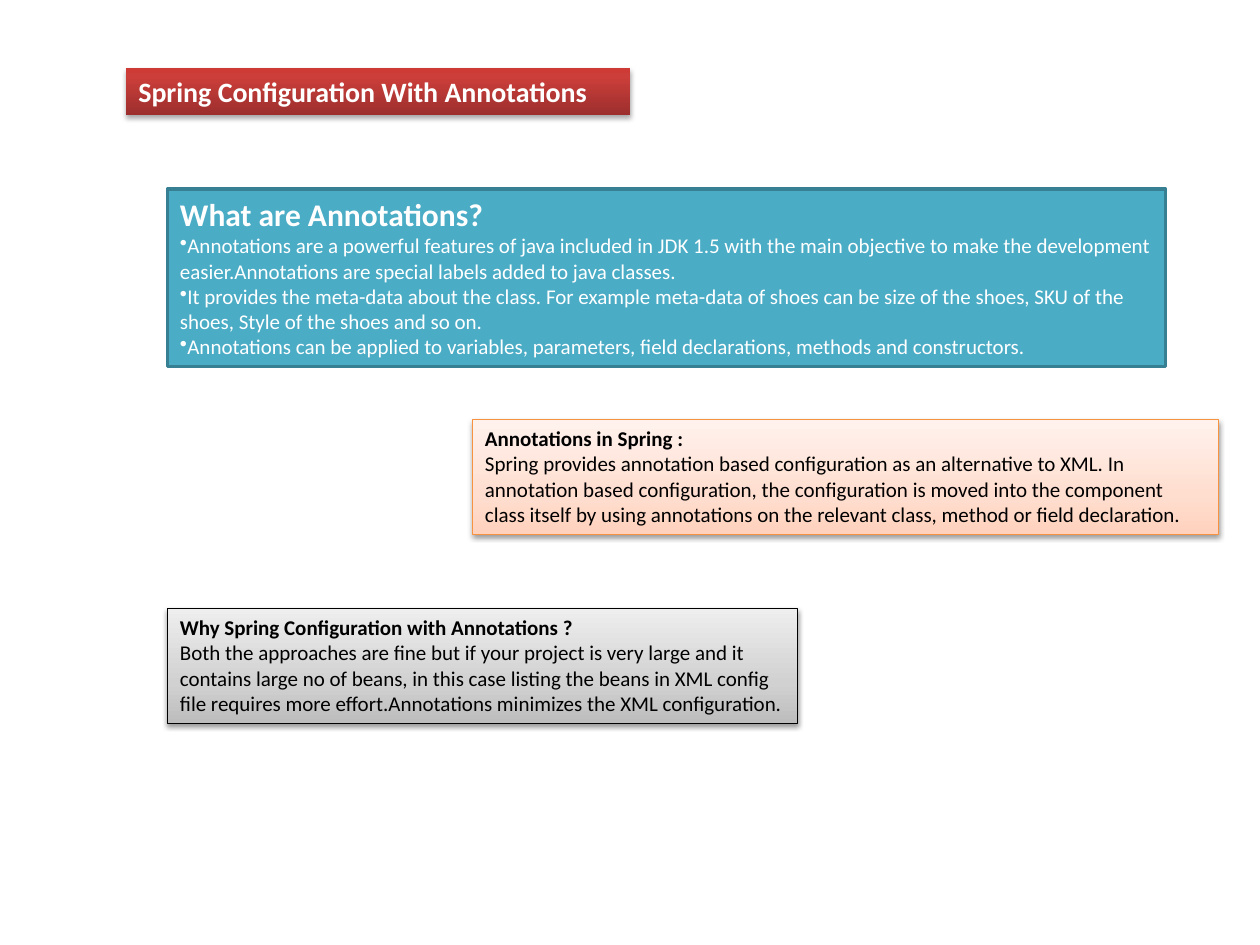
import copy

import pptx
import pptx.dml.color
import pptx.enum.shapes
import pptx.enum.text
import pptx.oxml
import pptx.oxml.ns
import pptx.util
from lxml import etree

Inches = pptx.util.Inches
Pt = pptx.util.Pt
RGBColor = pptx.dml.color.RGBColor
qn = pptx.oxml.ns.qn

WHITE = RGBColor(0xFF, 0xFF, 0xFF)
BLACK = RGBColor(0, 0, 0)
TEAL = RGBColor(0x4B, 0xAC, 0xC6)
DARK_TEAL = RGBColor(0x37, 0x7F, 0x92)
ORANGE = RGBColor(0xF6, 0x92, 0x40)

# Gradients run from bottom to top: (position, colour)
RED_GRADIENT = [(0, RGBColor(0x9C, 0x2F, 0x2D)), (0.8, RGBColor(0xCB, 0x3E, 0x3A)),
                (1, RGBColor(0xCE, 0x3B, 0x37))]
PEACH_GRADIENT = [(0, RGBColor(0xFF, 0xD2, 0xBD)), (0.35, RGBColor(0xFF, 0xDE, 0xD0)),
                  (1, RGBColor(0xFF, 0xF2, 0xED))]
GREY_GRADIENT = [(0, RGBColor(0xBD, 0xBD, 0xBD)), (0.35, RGBColor(0xD1, 0xD1, 0xD1)),
                 (1, RGBColor(0xEE, 0xEE, 0xEE))]


class Deck:
    font = "Calibri"
    body_size = 12

    def __init__(self, width, height):
        self.prs = pptx.Presentation()
        self.prs.slide_width, self.prs.slide_height = Inches(width), Inches(height)
        self.s = self.prs.slides.add_slide(self.prs.slide_layouts[6])

    def box(self, left, top, width, height, fill, line=None, line_width=0.75):
        """Rectangle with a solid fill, or a gradient when given a list of stops."""
        sp = self.s.shapes.add_shape(pptx.enum.shapes.MSO_SHAPE.RECTANGLE,
                                     Inches(left), Inches(top), Inches(width), Inches(height))
        sp.shadow.inherit = False
        if isinstance(fill, list):
            self.gradient(sp, fill)
        else:
            sp.fill.solid()
            sp.fill.fore_color.rgb = fill
        if line is None:
            sp.line.fill.background()
        else:
            sp.line.color.rgb = line
            sp.line.width = Pt(line_width)
        return sp

    def gradient(self, sp, stops):
        sp.fill.gradient()
        sp.fill.gradient_angle = 90
        stop_list = sp._element.spPr.find(".//" + qn("a:gsLst"))
        while len(stop_list) < len(stops):
            stop_list.append(copy.deepcopy(stop_list[0]))
        for stop, (position, color) in zip(sp.fill.gradient_stops, stops):
            stop.position = position
            stop.color.rgb = color

    def shadow(self, sp, alpha, distance):
        effects = sp._element.spPr.find(qn("a:effectLst"))
        outer = etree.SubElement(effects, qn("a:outerShdw"), blurRad=str(Pt(3.1)),
                                 dist=str(Pt(distance)), dir="5400000", rotWithShape="0")
        color = etree.SubElement(outer, qn("a:srgbClr"), val="000000")
        etree.SubElement(color, qn("a:alpha"), val=str(alpha * 1000))

    def text(self, sp, heading, body=(), color=BLACK, heading_size=12, bullets=False):
        """Bold heading followed by plain paragraphs."""
        tf = sp.text_frame
        tf.word_wrap = True
        tf.auto_size = pptx.enum.text.MSO_AUTO_SIZE.SHAPE_TO_FIT_TEXT
        tf.vertical_anchor = pptx.enum.text.MSO_ANCHOR.TOP
        for i, words in enumerate([heading, *body]):
            p = tf.add_paragraph() if i else tf.paragraphs[0]
            p.text = words
            p.alignment = pptx.enum.text.PP_ALIGN.LEFT
            if bullets and i:
                etree.SubElement(p._p.get_or_add_pPr(), qn("a:buChar"), char="•")
            p.font.name = self.font
            p.font.size = Pt(self.body_size if i else heading_size)
            p.font.bold = i == 0
            p.font.color.rgb = color


def main():
    deck = Deck(10, 7.5)

    # Title banner
    sp = deck.box(1, 0.54, 4, 0.37, RED_GRADIENT)
    deck.shadow(sp, 35, 1.8)
    deck.text(sp, "Spring Configuration With Annotations", color=WHITE, heading_size=16)

    # Definition
    sp = deck.box(1.33, 1.5, 7.92, 1.41, TEAL, DARK_TEAL, 2)
    deck.text(sp, "What are Annotations?", [
        "Annotations are a powerful features of java included in JDK 1.5 with the main "
        "objective to make the development easier.Annotations are special labels added "
        "to java classes.",
        "It provides the meta-data about the class. For example meta-data of shoes can be "
        "size of the shoes, SKU of the shoes, Style of the shoes and so on.",
        "Annotations can be applied to variables, parameters, field declarations, methods "
        "and constructors.",
    ], color=WHITE, heading_size=18, bullets=True)

    # Annotations in Spring
    sp = deck.box(3.75, 3.33, 5.92, 0.91, PEACH_GRADIENT, ORANGE)
    deck.shadow(sp, 38, 1.6)
    deck.text(sp, "Annotations in Spring :", [
        "Spring provides annotation based configuration as an alternative to XML. In "
        "annotation based configuration, the configuration is moved into the component "
        "class itself by using annotations on the relevant class, method or field "
        "declaration."])

    # Reasons
    sp = deck.box(1.33, 4.83, 5, 0.91, GREY_GRADIENT, BLACK)
    deck.shadow(sp, 38, 1.6)
    deck.text(sp, "Why Spring Configuration with Annotations ?", [
        "Both the approaches are fine but if your project is very large and it contains "
        "large no of beans, in this case listing the beans in XML config file requires "
        "more effort.Annotations minimizes the XML configuration."])

    deck.prs.save("out.pptx")


if __name__ == "__main__":
    main()
